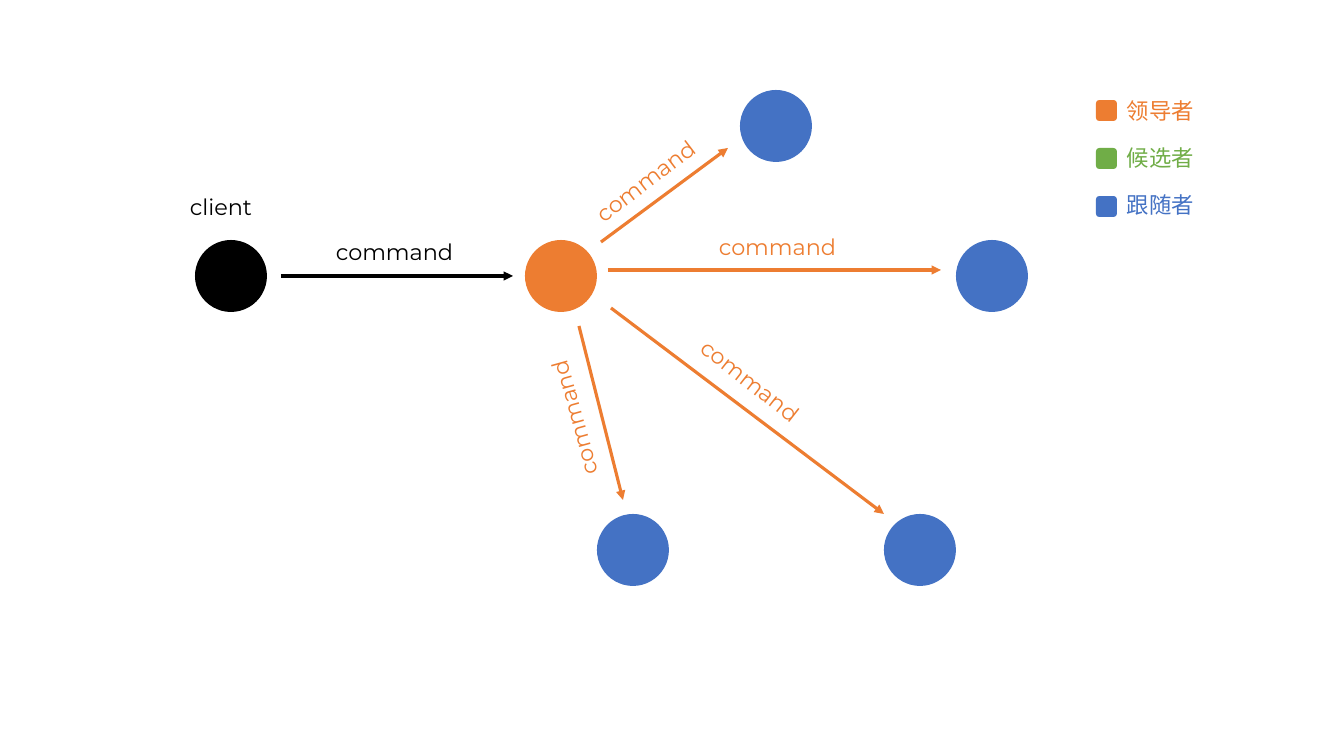
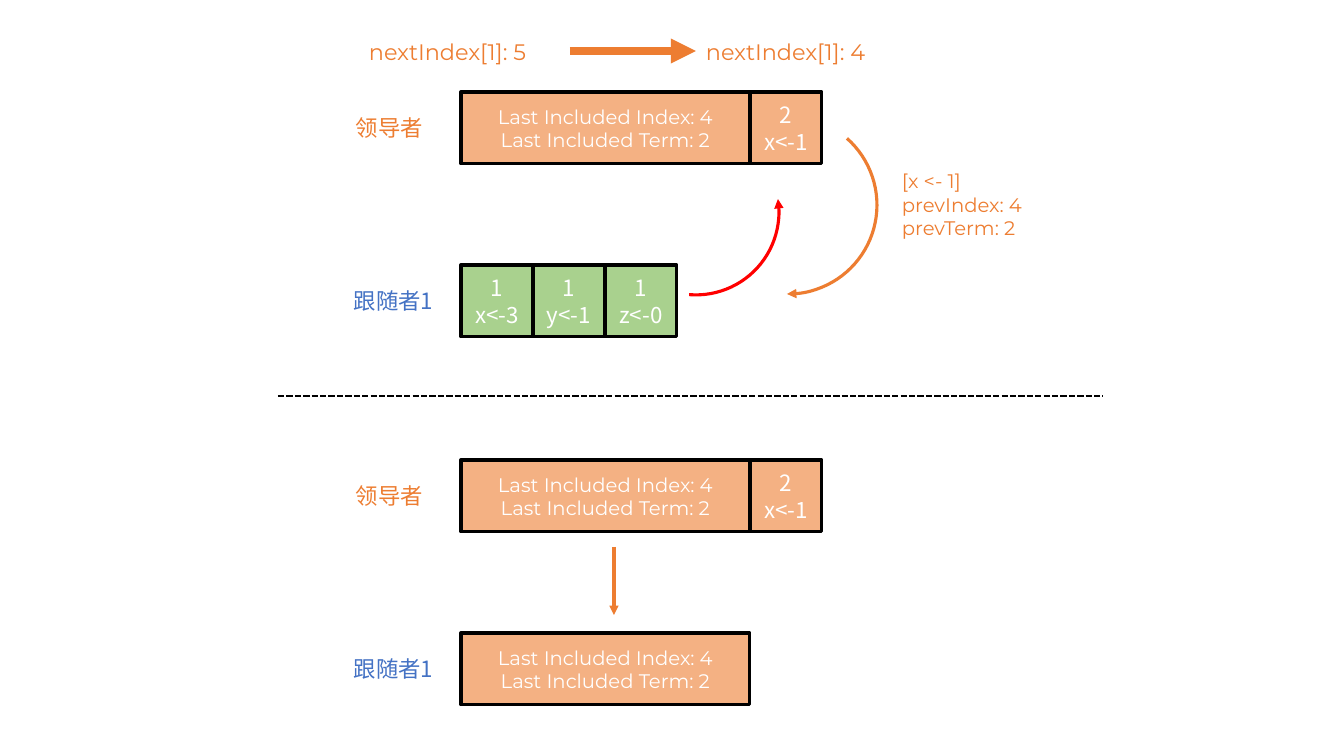
"""Build two slides on log sharing between a leader and its followers."""
import dataclasses

import lxml.etree
import pptx
import pptx.dml.color
import pptx.enum.dml
import pptx.enum.shapes
import pptx.enum.text
import pptx.oxml.ns
import pptx.util

SHAPE = pptx.enum.shapes.MSO_SHAPE
ALIGN = pptx.enum.text.PP_ALIGN
SCALE = 914400 / 100.8


@dataclasses.dataclass(frozen=True)
class Theme:
    """Colours, fonts, type sizes and line widths of both slides."""
    black: str = "000000"
    white: str = "FFFFFF"
    red: str = "FF0000"
    orange: str = "ED7D31"
    green: str = "70AD47"
    blue: str = "4472C4"
    peach: str = "F4B183"
    mint: str = "A9D18E"
    latin: str = "Montserrat"
    han: str = "Noto Sans CJK SC"
    body: float = 16
    small: float = 14
    stroke: float = 2.25
    thin: float = 1.5
    thick: float = 6


THEME = Theme()
NODE = 72
LABEL = 37


def emu(*pixels):
    """Turn pixel lengths into EMU."""
    return [pptx.util.Emu(round(pixel * SCALE)) for pixel in pixels]


def rgb(code):
    """Turn a hex code into a colour."""
    return pptx.dml.color.RGBColor.from_string(code)


def apply(target, values):
    """Set each named value on the target."""
    for name, value in values.items():
        setattr(target, name, value)


def write(frame, lines, color, font, size, align=ALIGN.LEFT):
    """Put one paragraph per line in a text frame."""
    for index, line in enumerate(lines):
        para = frame.add_paragraph() if index else frame.paragraphs[0]
        para.alignment = align
        run = para.add_run()
        run.text = line
        apply(run.font, {"name": font, "size": pptx.util.Pt(size)})
        run.font.color.rgb = rgb(color)
        latin = run._r.get_or_add_rPr().find(pptx.oxml.ns.qn("a:latin"))
        east = lxml.etree.Element(pptx.oxml.ns.qn("a:ea"), typeface=font)
        latin.addnext(east)


def label(slide, box, lines, color, font=THEME.latin, size=THEME.body, turn=0):
    """Add a text box that wraps and grows."""
    shape = slide.shapes.add_textbox(*emu(*box))
    shape.rotation = turn
    apply(shape.text_frame, {
        "word_wrap": True,
        "auto_size": pptx.enum.text.MSO_AUTO_SIZE.SHAPE_TO_FIT_TEXT,
    })
    write(shape.text_frame, lines, color, font, size)


def block(slide, kind, box, fill):
    """Add a plain filled shape without outline."""
    shape = slide.shapes.add_shape(kind, *emu(*box))
    shape.shadow.inherit = False
    shape.fill.solid()
    shape.fill.fore_color.rgb = rgb(fill)
    shape.line.fill.background()
    return shape


def stroke(shape, color, width, arrow=True):
    """Style an outline, with an arrowhead at its end if asked."""
    shape.line.color.rgb = rgb(color)
    shape.line.width = pptx.util.Pt(width)
    if arrow:
        outline = shape.element.spPr.find(pptx.oxml.ns.qn("a:ln"))
        lxml.etree.SubElement(
            outline, pptx.oxml.ns.qn("a:tailEnd"), type="triangle")


def line(slide, ends, color, width=THEME.stroke, arrow=True):
    """Add a straight line between two points."""
    shape = slide.shapes.add_connector(
        pptx.enum.shapes.MSO_CONNECTOR.STRAIGHT, *emu(*ends))
    stroke(shape, color, width, arrow)
    lxml.etree.SubElement(
        shape.element.spPr, pptx.oxml.ns.qn("a:effectLst"))
    return shape


def arc(slide, box, color, stop, turn, flip=False):
    """Add a curved arrow that starts at the top of its circle."""
    shape = slide.shapes.add_shape(SHAPE.ARC, *emu(*box))
    shape.shadow.inherit = False
    shape.fill.background()
    shape.rotation = turn
    shape.adjustments[0] = 162
    shape.adjustments[1] = stop
    if flip:
        shape.element.spPr.xfrm.set("flipV", "1")
    stroke(shape, color, THEME.stroke)


def cell(slide, left, top, width, lines, fill, font, size):
    """Add one outlined box of a log."""
    shape = block(slide, SHAPE.RECTANGLE, (left, top, width, NODE), fill)
    stroke(shape, THEME.black, THEME.stroke, False)
    shape.text_frame.vertical_anchor = pptx.enum.text.MSO_ANCHOR.MIDDLE
    write(shape.text_frame, lines, THEME.white, font, size, ALIGN.CENTER)


def legend(slide):
    """Add the key of the three roles."""
    roles = (("领导者", THEME.orange), ("候选者", THEME.green),
             ("跟随者", THEME.blue))
    for row, (name, color) in enumerate(roles):
        block(slide, SHAPE.ROUNDED_RECTANGLE,
              (1096, 100 + 48 * row, 21, 21), color)
        label(slide, (1117, 92 + 47 * row, 101, LABEL), [name],
              color, THEME.han)


def cluster(slide):
    """Draw a client command passed on to all followers."""
    nodes = (
        (597, 514, THEME.blue), (884, 514, THEME.blue),
        (740, 90, THEME.blue), (525, 240, THEME.orange),
        (956, 240, THEME.blue), (195, 240, THEME.black),
    )
    for left, top, color in nodes:
        block(slide, SHAPE.OVAL, (left, top, NODE, NODE), color)
    legend(slide)
    label(slide, (180, 188, 101, LABEL), ["client"], THEME.black)
    calls = (
        ((281, 276, 513, 276), (326, 233), 0, THEME.black),
        ((579, 326, 623, 500), (501, 396), 254.5, THEME.orange),
        ((601, 242, 728, 148), (576, 160), 322.7, THEME.orange),
        ((608, 270, 941, 270), (709, 228), 0, THEME.orange),
        ((611, 308, 884, 514), (681, 364), 38.1, THEME.orange),
    )
    for ends, place, turn, color in calls:
        line(slide, ends, color)
        label(slide, (*place, 144, LABEL), ["command"], color, turn=turn)


def lead(slide, top):
    """Name the leader's row."""
    label(slide, (346, top + 17, 101, LABEL), ["领导者"],
          THEME.orange, THEME.han)


def follow(slide, top):
    """Name the follower's row."""
    label(slide, (344, top + 17, 102, LABEL), ["跟随者1"],
          THEME.blue, THEME.han)


def snapshot(slide, left, top, width):
    """Add the wide box that sums up the old log."""
    cell(slide, left, top, width,
         ["Last Included Index: 4", "Last Included Term: 2"],
         THEME.peach, THEME.latin, THEME.small)


def entry(slide, left, top, term, text, fill):
    """Add one square log entry."""
    cell(slide, left, top, NODE, [term, text], fill, THEME.han, THEME.body)


def install(slide):
    """Draw a rejected append and the snapshot sent after it."""
    left, width = 461, 289
    upper, lower, drop = 92, 460, 173
    for top in (upper, lower):
        lead(slide, top)
        follow(slide, top + drop)
        entry(slide, left + width, top, "2", "x<-1", THEME.peach)
        snapshot(slide, left, top, width)
    snapshot(slide, left, lower + drop, width)
    for index, text in enumerate(("x<-3", "y<-1", "z<-0")):
        entry(slide, left + NODE * index, upper + drop, "1", text, THEME.mint)
    arc(slide, (699, 116, 178, 178), THEME.orange, 29.48, 41.5)
    arc(slide, (613, 129, 166, 166), THEME.red, 8.17, 4.7, True)
    label(slide, (892, 164, 187, 82),
          ["[x <- 1]", "prevIndex: 4", "prevTerm: 2"],
          THEME.orange, size=THEME.small)
    for start, text in ((359, "nextIndex[1]: 5"), (696, "nextIndex[1]: 4")):
        label(slide, (start, 33, 216, LABEL), [text], THEME.orange)
    line(slide, (570, 51, 696, 51), THEME.orange, THEME.thick)
    line(slide, (614, 547, 614, 615), THEME.orange)
    border = line(slide, (278, 396, 1103, 396), THEME.black, THEME.thin, False)
    border.line.dash_style = pptx.enum.dml.MSO_LINE.SQUARE_DOT


def main():
    """Build and save the slides."""
    deck = pptx.Presentation()
    wide, high = emu(1344, 756)
    apply(deck, {"slide_width": wide, "slide_height": high})
    for draw in (cluster, install):
        draw(deck.slides.add_slide(deck.slide_layouts[6]))
    deck.save("out.pptx")


main()
